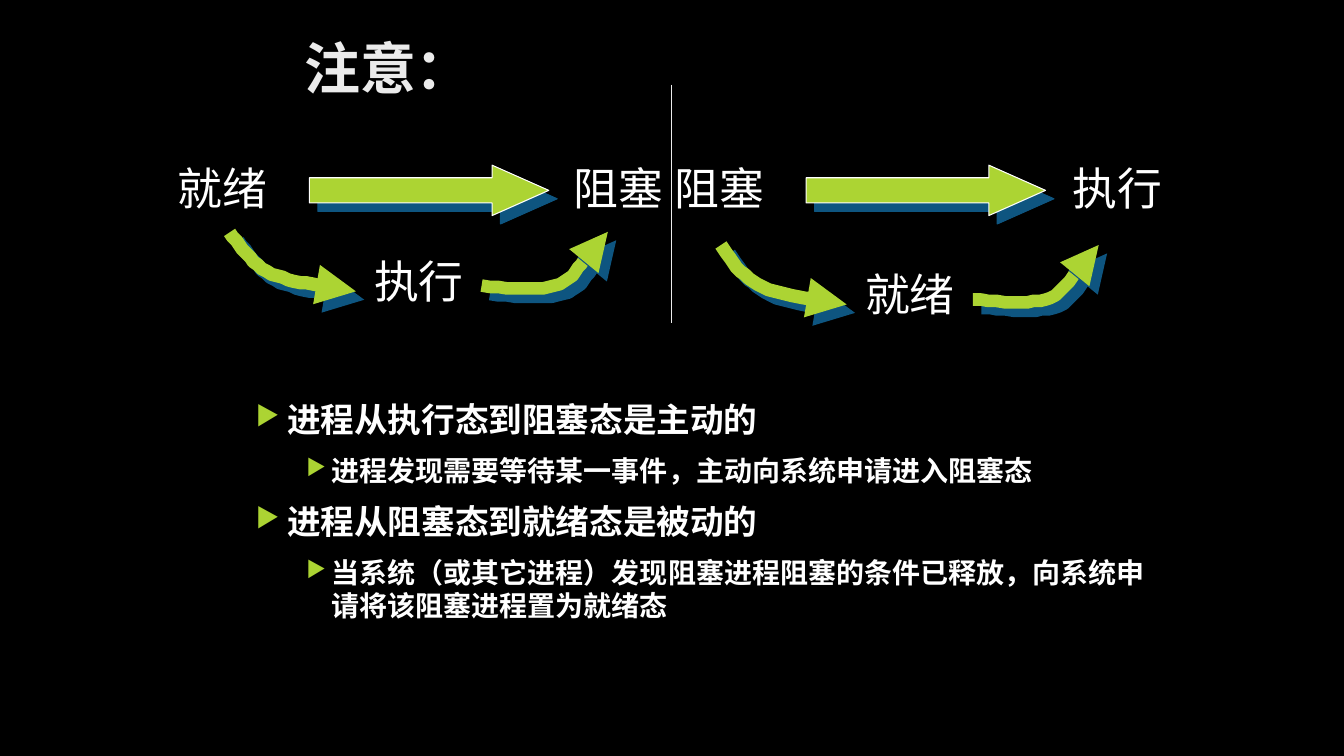
from lxml.etree import SubElement
from pptx import Presentation
from pptx.dml.color import RGBColor
from pptx.enum.shapes import MSO_CONNECTOR, MSO_SHAPE
from pptx.enum.text import MSO_ANCHOR, MSO_AUTO_SIZE, PP_ALIGN
from pptx.oxml.ns import qn
from pptx.util import Pt

COLORS = {"back": "000000", "text": "FFFFFF", "soft": "EBEBEB",
          "lime": "ACD433", "shadow": "0E5580"}
FONT = "League Spartan"
BULLETS = [
    (0, "进程从执行态到阻塞态是主动的"),
    (1, "进程发现需要等待某一事件，主动向系统申请进入阻塞态"),
    (0, "进程从阻塞态到就绪态是被动的"),
    (1, "当系统（或其它进程）发现阻塞进程阻塞的条件已释放，向系统申请将该阻塞进程置为就绪态"),
]
LEVELS = [(24, 58.3, -22.3), (20, 90, -18)]
DOWN_CURVE = [(0, 0), (7.2, 10.8), (15.1, 21.6), (26.6, 28.1),
              (38.2, 34.6), (53.3, 36.7), (69.1, 38.9)]
UP_CURVE = [(0, 38.9), (19.4, 40.3), (39.6, 42.5), (51.8, 38.9), (64.8, 35.3),
            (71.3, 21.6), (75.6, 16.6), (80.6, 12.2), (79.9, 12.2), (80.6, 11.5)]


def rgb(name):
    """Return the named colour."""
    return RGBColor.from_string(COLORS[name])


def add_run(p, text, size, color="text", bold=False):
    """Append a formatted run to a paragraph."""
    r = p.add_run()
    r.text = text
    r.font.name, r.font.size, r.font.bold = FONT, Pt(size), bold
    r.font.color.rgb = rgb(color)


def set_effect(sp, shadow=True):
    """Give a shape the hard offset shadow, or none at all."""
    effects = SubElement(sp._element.spPr, qn("a:effectLst"))
    if shadow:
        outer = SubElement(effects, qn("a:outerShdw"), dist=str(Pt(8.5)),
                           dir=str(45 * 60000), algn="ctr", rotWithShape="0")
        SubElement(outer, qn("a:srgbClr"), val=COLORS["shadow"])


def add_line(s, x1, y1, x2, y2, color, width):
    """Draw a straight line and return it."""
    line = s.shapes.add_connector(MSO_CONNECTOR.STRAIGHT, Pt(x1), Pt(y1), Pt(x2), Pt(y2))
    line.line.color.rgb, line.line.width = rgb(color), Pt(width)
    return line


def bezier_points(points, steps=10):
    """Sample a chain of cubic curves."""
    samples = [points[0]]
    for i in range(0, len(points) - 1, 3):
        a, b, c, d = points[i:i + 4]
        for t in (k / steps for k in range(1, steps + 1)):
            u = 1 - t
            samples.append(tuple(
                u**3 * a[n] + 3 * u * u * t * b[n] + 3 * u * t * t * c[n] + t**3 * d[n]
                for n in (0, 1)))
    return samples


def add_curved_arrow(s, x, y, curve, tip, width):
    """Draw a curve that ends in a straight arrowhead."""
    points = [(x + dx, y + dy) for dx, dy in bezier_points(curve)]
    builder = s.shapes.build_freeform(*points[0], scale=float(Pt(1)))
    builder.add_line_segments(points[1:], close=False)
    sp = builder.convert_to_shape()
    sp.fill.background()
    sp.line.color.rgb, sp.line.width = rgb("lime"), Pt(width)
    set_effect(sp)
    head = add_line(s, *points[-1], x + tip[0], y + tip[1], "lime", width)
    SubElement(head.line._get_or_add_ln(), qn("a:tailEnd"), type="triangle")
    set_effect(head)


def add_state(s, x, y, text):
    """Place the name of a process state."""
    sp = s.shapes.add_textbox(Pt(x), Pt(y), Pt(83), Pt(45.4))
    tf = sp.text_frame
    tf.word_wrap, tf.auto_size = True, MSO_AUTO_SIZE.SHAPE_TO_FIT_TEXT
    add_run(tf.paragraphs[0], text, 32)


def add_transition(s, x, y, end_x, detour_x, detour_y, states):
    """Draw a direct transition and the detour through a middle state."""
    first, middle, last = states
    add_state(s, x, y, first)
    add_state(s, end_x, y, last)
    sp = s.shapes.add_shape(MSO_SHAPE.RIGHT_ARROW, Pt(x + 101), Pt(y + 6.4), Pt(171), Pt(36))
    sp.adjustments[0], sp.adjustments[1] = 0.5, 1.125
    sp.fill.solid()
    sp.fill.fore_color.rgb = rgb("lime")
    sp.line.color.rgb, sp.line.width = rgb("text"), Pt(0.75)
    set_effect(sp)
    add_state(s, detour_x + 96, detour_y + 12.2, middle)
    add_curved_arrow(s, detour_x, detour_y, DOWN_CURVE, (90, 42.5), 9.5)
    add_curved_arrow(s, detour_x + 180, detour_y, UP_CURVE, (90, 0), 9)


def add_title(s, x, y, w, h):
    """Fill and place the title placeholder."""
    title = s.shapes.title
    title.left, title.top, title.width, title.height = Pt(x), Pt(y), Pt(w), Pt(h)
    tf = title.text_frame
    tf.vertical_anchor, tf.word_wrap = MSO_ANCHOR.MIDDLE, True
    p = tf.paragraphs[0]
    p.alignment = PP_ALIGN.LEFT
    add_run(p, "注意：", 40, "soft", True)


def add_bullets(s, x, y, w, h):
    """Write the two-level list of remarks."""
    tf = s.shapes.add_textbox(Pt(x), Pt(y), Pt(w), Pt(h)).text_frame
    tf.word_wrap = True
    for i, (level, text) in enumerate(BULLETS):
        size, margin, indent = LEVELS[level]
        p = tf.add_paragraph() if i else tf.paragraphs[0]
        p.level = level
        p.space_before = Pt(10 if i else 0)
        pPr = p._p.get_or_add_pPr()
        pPr.set("marL", str(Pt(margin)))
        pPr.set("indent", str(Pt(indent)))
        color = SubElement(pPr, qn("a:buClr"))
        SubElement(color, qn("a:srgbClr"), val=COLORS["lime"])
        SubElement(pPr, qn("a:buSzPct"), val="80000")
        SubElement(pPr, qn("a:buChar"), char="▶")
        add_run(p, text, size, bold=True)


def main():
    """Build and save the slide."""
    prs = Presentation()
    prs.slide_width, prs.slide_height = Pt(960), Pt(540)
    s = prs.slides.add_slide(prs.slide_layouts[5])
    s.background.fill.solid()
    s.background.fill.fore_color.rgb = rgb("back")
    add_title(s, 210, 18, 138, 60)
    add_bullets(s, 139.7, 281.5, 686, 215)
    add_transition(s, 120, 111.6, 402.5, 164.2, 165.6, ("就绪", "执行", "阻塞"))
    add_transition(s, 474.8, 111.6, 759, 514.8, 175, ("阻塞", "就绪", "执行"))
    divider = add_line(s, 480, 60.5, 480, 230.4, "soft", 0.75)
    set_effect(divider, shadow=False)
    prs.save("out.pptx")


if __name__ == "__main__":
    main()
